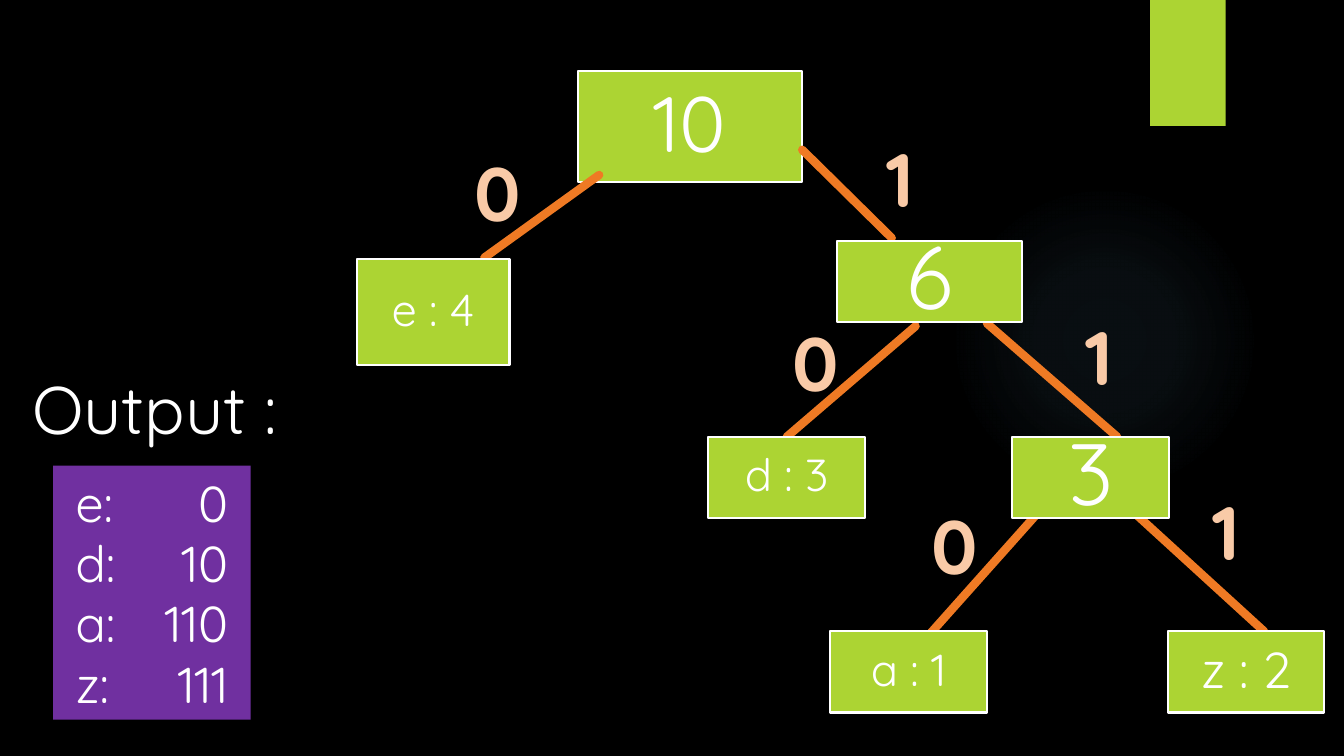
from lxml import etree
from pptx import Presentation
from pptx.dml.color import RGBColor
from pptx.enum.shapes import MSO_CONNECTOR as CONN, MSO_SHAPE as SHAPE
from pptx.enum.text import MSO_ANCHOR as ANCHOR, PP_ALIGN as ALIGN
from pptx.oxml.ns import qn
from pptx.util import Pt

FONT = "Quicksand"
GREEN, PURPLE, ORANGE = "ACD433", "7030A0", "EF7A24"
PEACH, WHITE, BLACK, GLOW = "F9CAA7", "FFFFFF", "000000", "7AC4F0"

# Tree parts, in points from the corner of the tree
ROOT = ("10", 158, 0, 160, 79, 56)
NODES = [  # text, left, top, width, height, font size
    ("e : 4", 0, 134, 109, 76, 32),
    ("6", 343, 121, 132, 58, 62),
    ("d : 3", 251, 261, 112, 58, 32),
    ("3", 468, 261, 112, 58, 62),
    ("a : 1", 338, 400, 112, 58, 32),
    ("z : 2", 579, 400, 112, 58, 36),
]
EDGES = [  # bit, start, end, corner of the label
    ("0", (173, 74), (91, 133), (77, 50)),
    ("1", (318, 56), (382, 119), (371, 40)),
    ("0", (399, 182), (307, 261), (304, 171)),
    ("1", (450, 180), (543, 261), (513, 167)),
    ("0", (484, 318), (410, 401), (403, 302)),
    ("1", (556, 316), (648, 400), (604, 292)),
]
CODES = [("e:", "0"), ("d:", "10"), ("a:", "110"), ("z:", "111")]


def rgb(color):
    return RGBColor.from_string(color)


def add_box(s, kind, x, y, w, h, fill, line=None):
    sp = s.shapes.add_shape(kind, Pt(x), Pt(y), Pt(w), Pt(h))
    sp.shadow.inherit = False
    sp.fill.solid()
    sp.fill.fore_color.rgb = rgb(fill)
    if line:
        sp.line.color.rgb = rgb(line)
        sp.line.width = Pt(1.5)
    else:
        sp.line.fill.background()
    return sp


def add_label(s, x, y, w, h):
    tf = s.shapes.add_textbox(Pt(x), Pt(y), Pt(w), Pt(h)).text_frame
    tf.word_wrap = True
    return tf


def style(p, size, color=WHITE, align=ALIGN.CENTER, bold=False):
    p.alignment = align
    p.font.name, p.font.size, p.font.bold = FONT, Pt(size), bold
    p.font.color.rgb = rgb(color)


def draw_backdrop(s, width):
    s.background.fill.solid()
    s.background.fill.fore_color.rgb = rgb(BLACK)
    # Faint round glow
    sp = add_box(s, SHAPE.OVAL, width - 282, 132, 222, 222, GLOW)
    solid = sp._element.spPr.find(qn("a:solidFill"))
    grad = etree.Element(qn("a:gradFill"))
    stops = etree.SubElement(grad, qn("a:gsLst"))
    for pos, alpha in ((0, 7), (36, 6), (69, 0)):
        stop = etree.SubElement(stops, qn("a:gs"), pos=str(pos * 1000))
        color = etree.SubElement(stop, qn("a:srgbClr"), val=GLOW)
        etree.SubElement(color, qn("a:alpha"), val=str(alpha * 1000))
    circle = etree.SubElement(grad, qn("a:path"))
    circle.set("path", "circle")
    etree.SubElement(circle, qn("a:fillToRect"),
                     {side: "50000" for side in "ltrb"})
    solid.getparent().replace(solid, grad)
    # Green tab at the top edge
    add_box(s, SHAPE.RECTANGLE, width - 138.5, 0, 54, 90, GREEN)


def draw_node(s, x, y, text, dx, dy, w, h, size):
    sp = add_box(s, SHAPE.RECTANGLE, x + dx, y + dy, w, h, GREEN, WHITE)
    tf = sp.text_frame
    tf.margin_left = tf.margin_right = tf.margin_top = tf.margin_bottom = 0
    p = tf.paragraphs[0]
    p.text, p.line_spacing = text, 0.9
    style(p, size)


def draw_edge(s, x, y, start, end):
    edge = s.shapes.add_connector(
        CONN.STRAIGHT, Pt(x + start[0]), Pt(y + start[1]),
        Pt(x + end[0]), Pt(y + end[1]))
    edge.line.color.rgb = rgb(ORANGE)
    edge.line.width = Pt(6)
    edge.line._get_or_add_ln().set("cap", "rnd")
    etree.SubElement(edge._element.spPr, qn("a:effectLst"))


def draw_tree(s, x, y):
    draw_node(s, x, y, *ROOT)
    for _, start, end, _ in EDGES:
        draw_edge(s, x, y, start, end)
    for bit, _, _, (dx, dy) in EDGES:
        p = add_label(s, x + dx, y + dy, 21.6, 60).paragraphs[0]
        p.text = bit
        style(p, 54, PEACH, bold=True)
    for node in NODES:
        draw_node(s, x, y, *node)


def draw_output(s, x, y, w, h):
    # Heading
    tf = add_label(s, x, y, w, 66)
    tf.margin_left = Pt(16)
    p = tf.paragraphs[0]
    p.text = "Output :"
    style(p, 48, align=ALIGN.LEFT)
    # Code list, values aligned on a right tab
    tf = add_box(s, SHAPE.RECTANGLE, x + 31, y + 73.5, 141, h - 73.5,
                 PURPLE).text_frame
    tf.margin_left, tf.margin_right = Pt(16), 0
    tf.vertical_anchor = ANCHOR.MIDDLE
    for i, (symbol, code) in enumerate(CODES):
        p = tf.paragraphs[0] if i == 0 else tf.add_paragraph()
        p.text = f"{symbol}\t{code}"
        style(p, 36, align=ALIGN.LEFT)
        tabs = etree.Element(qn("a:tabLst"))
        etree.SubElement(tabs, qn("a:tab"), pos=str(Pt(109)), algn="r")
        p._p.get_or_add_pPr().insert(0, tabs)


def main():
    prs = Presentation()
    prs.slide_width, prs.slide_height = Pt(960), Pt(540)
    s = prs.slides.add_slide(prs.slide_layouts[6])
    draw_backdrop(s, 960)
    draw_tree(s, 255, 51)
    draw_output(s, 7, 259, 235, 255)
    prs.save("out.pptx")


if __name__ == "__main__":
    main()
